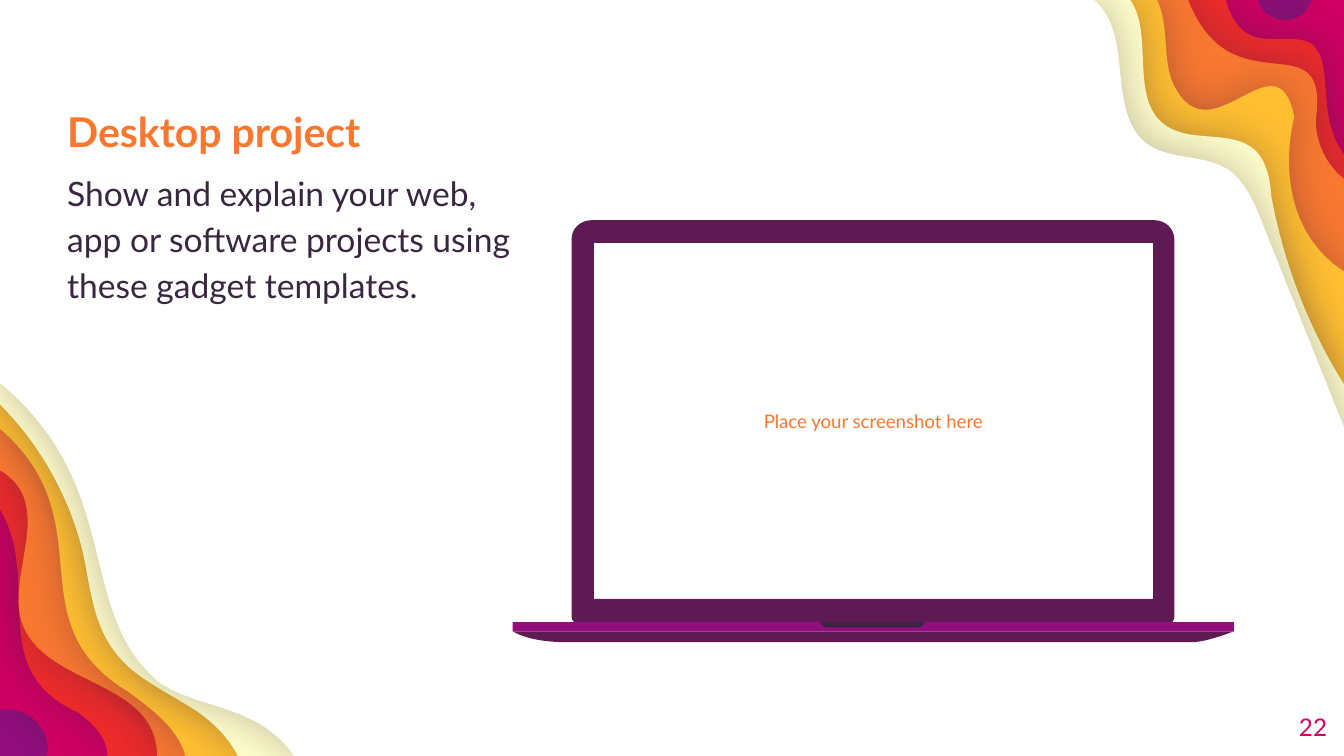
"""Build the laptop mock-up slide with layered wavy corners."""
from dataclasses import dataclass

from lxml.etree import SubElement
from pptx import Presentation
from pptx.dml.color import RGBColor as RGB
from pptx.enum.shapes import MSO_SHAPE as Shape
from pptx.enum.text import MSO_ANCHOR as Anchor, PP_ALIGN as Align
from pptx.oxml.ns import qn
from pptx.util import Pt

Chain = list[tuple[float, ...]]
WIDTH, HEIGHT = 720, 405


@dataclass(frozen=True)
class Theme:
    font: str = "Lato"
    purple: str = "940D7F"
    plum: str = "5E1B53"
    ink: str = "39273F"
    pink: str = "CE0063"
    red: str = "ED2B2B"
    orange: str = "F97830"
    yellow: str = "FFBF31"
    cream: str = "FEFDCA"
    white: str = "FFFFFF"
    title: float = 22
    body: float = 18
    number: float = 13
    caption: float = 10


@dataclass(frozen=True)
class Layer:
    """A sheet cut by a wave at the top right and one at the bottom left."""
    color: str
    right: Chain
    left: Chain


@dataclass(frozen=True)
class Line:
    text: str
    size: float
    color: str
    bold: bool = False


@dataclass(frozen=True)
class TextBlock:
    box: tuple[float, float, float, float]
    lines: list[Line]
    align: Align = Align.LEFT
    anchor: Anchor = Anchor.TOP
    inset: float = 0
    spacing: float = 1
    before: float = 0


T = Theme()

LAYERS = [
    Layer(T.pink,
          [(720, 0), (702.7, 0), (698.4, 14.4, 678.2, 14.4, 673.9, 0)],
          [(0, 380.2), (14.4, 378, 28.1, 390.2, 25.2, 405)]),
    Layer(T.red,
          [(720, 82.8), (704.2, 61.2, 715.7, 33.1, 702, 23),
           (686.2, 15.8, 666, 31.7, 656.6, 0)],
          [(0, 272.9), (23, 311, -8.6, 359.3, 41.8, 381.6),
           (49.7, 387.4, 57.6, 395.3, 57.6, 405)]),
    Layer(T.orange,
          [(720, 95.8), (710.6, 88.6, 704.9, 76.3, 704.9, 64.8),
           (712.8, 8.6, 660.2, 60.5, 636.5, 0)],
          [(0, 252), (31, 270, 2.2, 308.9, 12.2, 334.8),
           (25.2, 367.9, 84.2, 364.3, 84.2, 405)]),
    Layer(T.yellow,
          [(720, 145.4), (691.9, 127.4, 686.2, 92.9, 693.4, 62.6),
           (684, 15.8, 647.3, 88.6, 627.8, 43.2),
           (622.8, 29.5, 626.4, 13.7, 619.9, 0)],
          [(0, 229.7), (57.6, 279.4, 6.5, 333.4, 69.1, 370.8),
           (81.4, 380.2, 95, 389.5, 99.4, 405)]),
    Layer(T.cream,
          [(720, 205.9), (700.6, 175, 687.6, 140.4, 681.1, 105.1),
           (680.4, 96.5, 679, 87.1, 672.5, 80.6),
           (660.2, 69.1, 637.9, 77, 624.2, 67),
           (604.8, 53.3, 618.5, 18, 605.5, 0)],
          [(0, 216.7), (21.6, 238.3, 37.4, 266.4, 44.6, 296.6),
           (48.2, 313.9, 49.7, 332.6, 60.5, 347.8),
           (71.3, 363.6, 90.7, 370.8, 107.3, 382.3),
           (115.2, 388.1, 123.1, 396, 127.4, 405)]),
    Layer(T.white,
          [(720, 229), (675.4, 117.4), (671.8, 108, 666.7, 97.2, 658.8, 91.4),
           (645.1, 82.1, 626.4, 86.4, 613.4, 76.3),
           (592.6, 58.3, 607.7, 18, 586.1, 0)],
          [(0, 205.2), (67.7, 261.4, 39.6, 328.3, 85.7, 365.8),
           (99.4, 375.1, 117.4, 377.3, 132.5, 384.5),
           (142.6, 388.8, 151.2, 396, 157.7, 405)]),
]

BEZEL = [(618.5, 118), (316.8, 118), (311, 118, 306.2, 122.4, 306.2, 128.2),
         (306.2, 330.5), (306.2, 332.6, 308.2, 334, 309.6, 334),
         (625.7, 334), (627.8, 334, 629.1, 332.6, 629.1, 330.5),
         (629.1, 128.2), (629.1, 122.4, 624.2, 118, 618.5, 118)]
SCREEN = [(617.8, 320.9), (318.2, 320.9), (318.2, 130.2), (617.8, 130.2)]
BASE = [(274.7, 338.2), (274.7, 338.2, 283, 344, 303.1, 344),
        (638.6, 344), (646.6, 344, 661, 338.2, 661, 338.2)]
NOTCH = [(439.2, 333.3), (439.2, 333.3, 440.6, 336.2, 442.8, 336.2),
         (492.5, 336.2), (493.9, 336.2, 495.6, 333.3, 495.6, 333.3)]
HINGE = (274.7, 333.3, 386.3, 5)

TEXTS = [
    TextBlock((317.7, 129.6, 300.2, 191.5),
              [Line("Place your screenshot here", T.caption, T.orange)],
              Align.CENTER, Anchor.MIDDLE, inset=7.2),
    TextBlock((667.7, 373.7, 43.2, 31), [Line("22", T.number, T.pink)],
              Align.RIGHT, Anchor.MIDDLE),
    TextBlock((36, 52.9, 238.5, 128.2),
              [Line("Desktop project", T.title, T.orange, True),
               Line("Show and explain your web, app or software projects "
                    "using these gadget templates.", T.body, T.ink)],
              spacing=1.15, before=6),
]


def paint(sp, color: str) -> None:
    """Give a shape a plain fill without line or shadow."""
    sp.fill.solid()
    sp.fill.fore_color.rgb = RGB.from_string(color)
    sp.line.fill.background()
    sp.shadow.inherit = False


def bend(sp, chains: tuple[Chain, ...]) -> None:
    """Turn the straight segments that have control points into cubic curves."""
    segments = [seg for chain in chains for seg in chain[1:]]
    lines = list(sp._element.iter(qn("a:lnTo")))
    for line, seg in zip(lines, segments):
        if len(seg) == 6:
            line.tag = qn("a:cubicBezTo")
            for i in (0, 2):
                pt = SubElement(line, qn("a:pt"), x=str(Pt(seg[i]) - sp.left),
                                y=str(Pt(seg[i + 1]) - sp.top))
                line.insert(i // 2, pt)


def add_outline(s, color: str, *chains: Chain):
    """Draw closed contours as one filled freeform."""
    first, *others = [[tuple(map(Pt, seg[-2:])) for seg in c] for c in chains]
    fb = s.shapes.build_freeform(*first[0])
    fb.add_line_segments(first[1:], close=True)
    for pts in others:
        fb.move_to(*pts[0])
        fb.add_line_segments(pts[1:], close=True)
    sp = fb.convert_to_shape()
    bend(sp, chains)
    paint(sp, color)
    return sp


def add_layer(s, layer: Layer) -> None:
    """Draw a wavy sheet with a soft shadow."""
    sp = add_outline(s, layer.color, layer.right + [(0, 0)] + layer.left + [(WIDTH, HEIGHT)])
    effects = sp._element.spPr.find(qn("a:effectLst"))
    shadow = SubElement(effects, qn("a:outerShdw"), blurRad=str(Pt(22.5)),
                        dist=str(Pt(0.8)), dir="0", algn="ctr", rotWithShape="0")
    clr = SubElement(shadow, qn("a:srgbClr"), val=T.ink)
    SubElement(clr, qn("a:alpha"), val="30000")


def add_text(s, block: TextBlock) -> None:
    """Draw a wrapped text box."""
    tf = s.shapes.add_textbox(*map(Pt, block.box)).text_frame
    tf.word_wrap = True
    tf.vertical_anchor = block.anchor
    tf.margin_left = tf.margin_right = tf.margin_top = tf.margin_bottom = Pt(block.inset)
    for i, line in enumerate(block.lines):
        p = tf.add_paragraph() if i else tf.paragraphs[0]
        p.text = line.text
        p.alignment = block.align
        p.line_spacing = block.spacing
        p.space_before = Pt(block.before)
        p.font.name, p.font.size, p.font.bold = T.font, Pt(line.size), line.bold
        p.font.color.rgb = RGB.from_string(line.color)


def main() -> None:
    """Assemble and save the slide."""
    prs = Presentation()
    prs.slide_width, prs.slide_height = Pt(WIDTH), Pt(HEIGHT)
    s = prs.slides.add_slide(prs.slide_layouts[6])
    s.background.fill.solid()
    s.background.fill.fore_color.rgb = RGB.from_string(T.purple)
    for layer in LAYERS:
        add_layer(s, layer)
    add_outline(s, T.plum, BEZEL, SCREEN)
    add_outline(s, T.plum, BASE)
    paint(s.shapes.add_shape(Shape.RECTANGLE, *map(Pt, HINGE)), T.purple)
    add_outline(s, T.ink, NOTCH)
    for block in TEXTS:
        add_text(s, block)
    prs.save("out.pptx")


if __name__ == "__main__":
    main()
